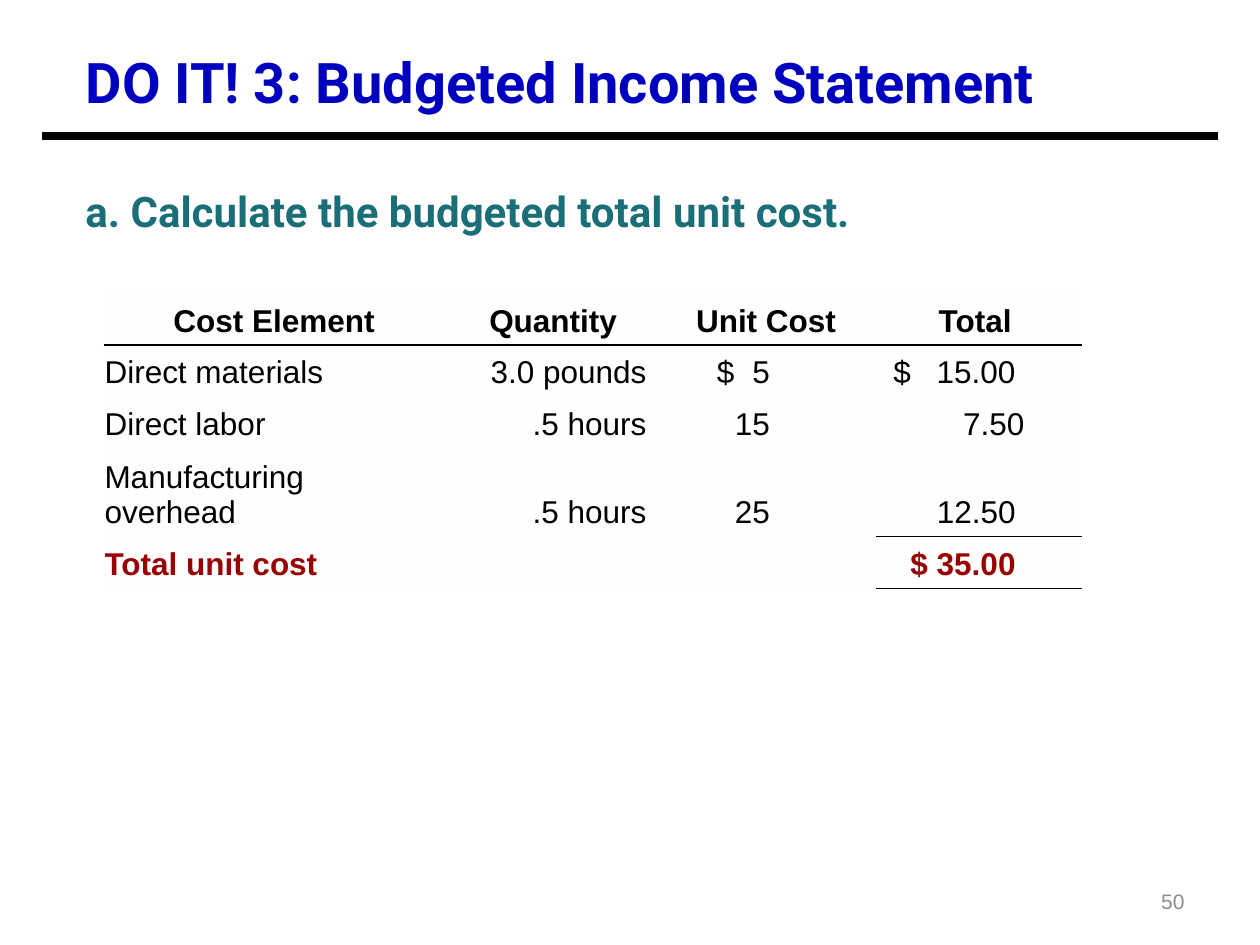
from lxml import etree
from pptx import Presentation, util as u
from pptx.dml.color import RGBColor
from pptx.enum import shapes, text
from pptx.oxml import ns

LEFT, CENTER, RIGHT = text.PP_ALIGN.LEFT, text.PP_ALIGN.CENTER, text.PP_ALIGN.RIGHT


def color(value):
    return RGBColor.from_string(value)


def write(frame, content, size=18, font="Arial", fill="000000", bold=False,
          align=LEFT, anchor=text.MSO_ANCHOR.TOP, tab=None):
    """Put one formatted paragraph in a frame; tab is a right tab stop in inches."""
    frame.word_wrap = True
    frame.vertical_anchor = anchor
    paragraph = frame.paragraphs[0]
    paragraph.text = content
    paragraph.alignment = align
    if tab:
        tabs = etree.SubElement(paragraph._p.get_or_add_pPr(), ns.qn("a:tabLst"))
        etree.SubElement(tabs, ns.qn("a:tab"), pos=str(u.Inches(tab)), algn="r")
    paragraph.font.size = u.Pt(size)
    paragraph.font.name = font
    paragraph.font.bold = bold
    paragraph.font.color.rgb = color(fill)


presentation = Presentation()
presentation.slide_width, presentation.slide_height = u.Inches(10), u.Inches(7.5)
slide = presentation.slides.add_slide(presentation.slide_layouts[5])

# Title and rule
rule = slide.shapes.add_connector(shapes.MSO_CONNECTOR.STRAIGHT, u.Inches(0.33),
                                  u.Inches(1.08), u.Inches(9.67), u.Inches(1.08))
rule.line.width = u.Pt(4.5)
rule.line.color.rgb = color("000000")
etree.SubElement(rule._element.spPr, ns.qn("a:effectLst"))

title = slide.shapes.title
title.left, title.top, title.width, title.height = map(u.Inches, (0.58, 0.33, 9.08, 0.61))
write(title.text_frame, "DO IT! 3: Budgeted Income Statement",
      size=32, font="Roboto", fill="0000BF", bold=True)
title.text_frame.auto_size = text.MSO_AUTO_SIZE.NONE

# Question and slide number
question = slide.shapes.add_textbox(*map(u.Inches, (0.58, 1.42, 8.83, 0.5)))
write(question.text_frame, "a. Calculate the budgeted total unit cost.",
      size=24, font="Roboto", fill="196E78", bold=True)
number = slide.shapes.add_textbox(*map(u.Inches, (7.17, 6.95, 2.33, 0.4)))
write(number.text_frame, "50", size=12, fill="8C8C8C", align=RIGHT,
      anchor=text.MSO_ANCHOR.MIDDLE)

# Cost table
rows = [
    ["Cost Element", "Quantity", "Unit Cost", "Total"],
    ["Direct materials", "3.0 pounds", "$\t5", "$\t15.00"],
    ["Direct labor", ".5 hours", "15", "7.50"],
    ["Manufacturing overhead", ".5 hours", "25", "12.50"],
    ["Total unit cost", "", "", "$ 35.00"],
]
widths = [2.75, 1.68, 1.7, 1.62]
heights = [0.41, 0.41, 0.41, 0.65, 0.41]
right_insets = [0.13, 0.13, 0.85, 0.52]
dollar_insets = {2: 0.43, 3: 0.13}
black_edges = {(0, c) for c in range(4)} | {(3, 3), (4, 3)}  # lines below these cells

table = slide.shapes.add_table(5, 4, u.Inches(0.83), u.Inches(2.33),
                               u.Inches(sum(widths)), u.Inches(sum(heights))).table
table.horz_banding = False
for column, width in zip(table.columns, widths):
    column.width = u.Inches(width)
for row, height in zip(table.rows, heights):
    row.height = u.Inches(height)

for r, row in enumerate(rows):
    for c, content in enumerate(row):
        cell = table.cell(r, c)
        left, right, tab = 0, right_insets[c], None
        align = RIGHT if c else LEFT
        if r == 0:
            right, align = 0.06, CENTER
        elif "\t" in content:
            left, right, align = dollar_insets[c], 0, LEFT
            tab = widths[c] - right_insets[c] - left
        elif content == "7.50":
            right = 0.45
        cell.margin_left, cell.margin_right = u.Inches(left), u.Inches(right)
        cell.vertical_anchor = text.MSO_ANCHOR.BOTTOM
        write(cell.text_frame, content, bold=r in (0, 4), align=align, tab=tab,
              fill="990000" if r == 4 else "000000", anchor=None)

        properties = cell._tc.get_or_add_tcPr()
        for side in "LRTB":
            black = (side == "B" and (r, c) in black_edges
                     or side == "T" and (r - 1, c) in black_edges)
            line = etree.SubElement(properties, ns.qn(f"a:ln{side}"), w=str(u.Pt(1)))
            solid = etree.SubElement(line, ns.qn("a:solidFill"))
            etree.SubElement(solid, ns.qn("a:srgbClr"), val="000000" if black else "FFFFFF")
        cell.fill.solid()
        cell.fill.fore_color.rgb = color("FFFEFE")

presentation.save("out.pptx")
